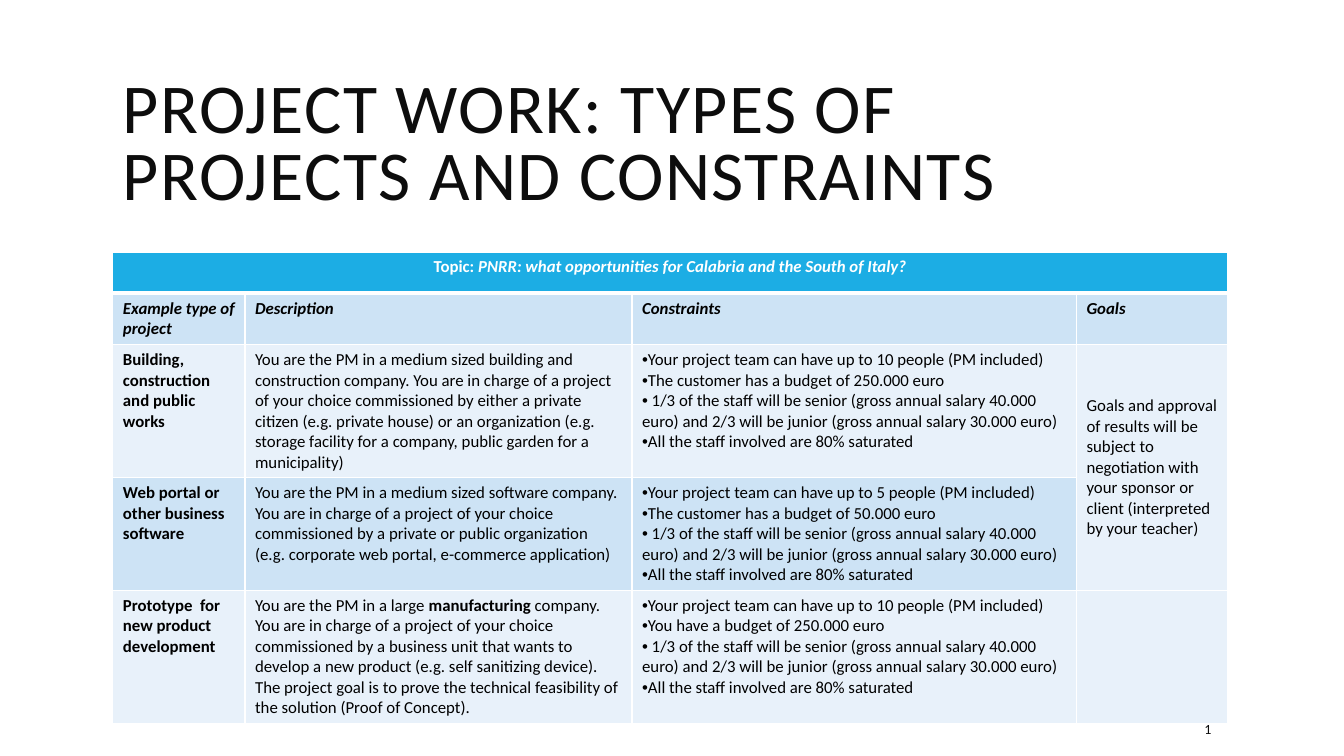
import dataclasses
import typing

import pptx
import pptx.dml.color
import pptx.enum.text
import pptx.oxml
import pptx.oxml.ns
import pptx.util
from lxml import etree

WIDTH = pptx.util.Inches(13.33)
HEIGHT = pptx.util.Inches(7.5)
FONT = "Calibri"
WHITE, BLACK, INK = "FFFFFF", "000000", "0D0D0D"
BLUE, MID_BLUE, PALE_BLUE = "1CADE4", "CDE3F5", "E8F1FA"
COLUMN_SHARES = (9.83, 28.8, 33.07, 11.25)
ROW_SHARES = (5.47, 6.8, 17.6, 14.8, 17.6)
HEADINGS = ("Example type of project", "Description", "Constraints", "Goals")
TOPIC = "PNRR: what opportunities for Calabria and the South of Italy?"
GOALS = (
    "Goals and approval of results will be subject to negotiation "
    "with your sponsor or client (interpreted by your teacher)"
)


@dataclasses.dataclass(frozen=True)
class Span:
    text: str
    bold: bool = False
    italic: bool = False


@dataclasses.dataclass(frozen=True)
class Project:
    kind: str
    description: tuple[Span, ...]
    team: int
    budget: str
    shade: str

    def constraints(self) -> tuple[str, ...]:
        return (
            f"Your project team can have up to {self.team} people (PM included)",
            f"{self.budget} euro",
            " 1/3 of the staff will be senior (gross annual salary 40.000 euro) "
            "and 2/3 will be junior (gross annual salary 30.000 euro)",
            "All the staff involved are 80% saturated",
        )


PROJECTS = (
    Project(
        "Building, construction and public works",
        (Span(
            "You are the PM in a medium sized building and construction company. "
            "You are in charge of a project of your choice commissioned by either "
            "a private citizen (e.g. private house) or an organization (e.g. storage "
            "facility for a company, public garden for a municipality)"
        ),),
        10, "The customer has a budget of 250.000", PALE_BLUE,
    ),
    Project(
        "Web portal or other business software",
        (Span(
            "You are the PM in a medium sized software company. You are in charge "
            "of a project of your choice commissioned by a private or public "
            "organization (e.g. corporate web portal, e-commerce application)"
        ),),
        5, "The customer has a budget of 50.000", MID_BLUE,
    ),
    Project(
        "Prototype  for new product development",
        (
            Span("You are the PM in a large "),
            Span("manufacturing ", bold=True),
            Span(
                "company. You are in charge of a project of your choice commissioned "
                "by a business unit that wants to develop a new product (e.g. self "
                "sanitizing device). The project goal is to prove the technical "
                "feasibility of the solution (Proof of Concept)."
            ),
        ),
        10, "You have a budget of 250.000", PALE_BLUE,
    ),
)


def across(percent: float) -> int:
    return round(WIDTH * percent / 100)


def down(percent: float) -> int:
    return round(HEIGHT * percent / 100)


def colour(value: str) -> pptx.dml.color.RGBColor:
    return pptx.dml.color.RGBColor.from_string(value)


def set_font(font: typing.Any, size: float, value: str) -> None:
    font.name = FONT
    font.size = pptx.util.Pt(size)
    font.color.rgb = colour(value)


def add_bullet(paragraph: typing.Any) -> None:
    properties = paragraph._p.get_or_add_pPr()
    for tag, key, value in (("a:buFont", "typeface", "Arial"), ("a:buChar", "char", "•")):
        etree.SubElement(properties, pptx.oxml.ns.qn(tag)).set(key, value)


def add_border(cell: typing.Any, side: str, points: float) -> None:
    line = etree.SubElement(cell._tc.get_or_add_tcPr(), pptx.oxml.ns.qn(f"a:ln{side}"))
    line.set("w", str(pptx.util.Pt(points)))
    fill = etree.SubElement(line, pptx.oxml.ns.qn("a:solidFill"))
    etree.SubElement(fill, pptx.oxml.ns.qn("a:srgbClr")).set("val", WHITE)


def paint(cell: typing.Any, shade: str, top: float = 1, bottom: float = 1) -> None:
    for side, points in (("L", 1), ("R", 1), ("T", top), ("B", bottom)):
        add_border(cell, side, points)
    cell.fill.solid()
    cell.fill.fore_color.rgb = colour(shade)


def write(paragraph: typing.Any, spans: tuple[Span, ...], value: str = BLACK) -> None:
    set_font(paragraph.font, 12, value)
    paragraph.font.bold = all(span.bold for span in spans)
    paragraph.font.italic = all(span.italic for span in spans)
    for span in spans:
        run = paragraph.add_run()
        run.text = span.text
        if span.bold != paragraph.font.bold:
            run.font.bold = span.bold
        if span.italic != paragraph.font.italic:
            run.font.italic = span.italic


def add_title(slide: typing.Any) -> None:
    title = slide.shapes.title
    title.left, title.top = across(8.4), down(8.53)
    title.width, title.height = across(79.73), down(21.87)
    frame = title.text_frame
    frame.text = "PROJECT WORK: TYPES OF PROJECTS AND CONSTRAINTS"
    frame.word_wrap = True
    frame.auto_size = pptx.enum.text.MSO_AUTO_SIZE.NONE
    frame.vertical_anchor = pptx.enum.text.MSO_ANCHOR.MIDDLE
    heading = frame.paragraphs[0]
    heading.alignment = pptx.enum.text.PP_ALIGN.LEFT
    heading.line_spacing = 0.8
    set_font(heading.font, 50, INK)
    heading.runs[0].font._element.set("spc", "100")


def add_projects(slide: typing.Any) -> None:
    table = slide.shapes.add_table(
        len(ROW_SHARES), len(COLUMN_SHARES),
        across(8.4), down(33.33), across(sum(COLUMN_SHARES)), down(sum(ROW_SHARES)),
    ).table
    table.first_row = table.horz_banding = False
    for column, share in zip(table.columns, COLUMN_SHARES):
        column.width = across(share)
    for row, share in zip(table.rows, ROW_SHARES):
        row.height = down(share)

    for index, heading in enumerate(HEADINGS):
        paint(table.cell(0, index), BLUE, bottom=3)
        paint(table.cell(1, index), MID_BLUE, top=3)
        write(table.cell(1, index).text_frame.paragraphs[0], (Span(heading, True, True),))
    table.cell(0, 0).merge(table.cell(0, 3))
    topic = table.cell(0, 0).text_frame.paragraphs[0]
    topic.alignment = pptx.enum.text.PP_ALIGN.CENTER
    write(topic, (Span("Topic: ", True), Span(TOPIC, True, True)), WHITE)

    for row, project in enumerate(PROJECTS, start=2):
        kind, description, constraints, goals = (table.cell(row, c) for c in range(4))
        for cell in (kind, description, constraints):
            paint(cell, project.shade)
        paint(goals, PALE_BLUE)
        write(kind.text_frame.paragraphs[0], (Span(project.kind, True),))
        write(description.text_frame.paragraphs[0], project.description)
        for index, constraint in enumerate(project.constraints()):
            frame = constraints.text_frame
            paragraph = frame.add_paragraph() if index else frame.paragraphs[0]
            add_bullet(paragraph)
            write(paragraph, (Span(constraint),))

    shared_goals = table.cell(2, 3)
    shared_goals.merge(table.cell(3, 3))
    shared_goals.vertical_anchor = pptx.enum.text.MSO_ANCHOR.MIDDLE
    write(shared_goals.text_frame.paragraphs[0], (Span(GOALS),))


def add_page_number(slide: typing.Any) -> None:
    frame = slide.shapes.add_textbox(across(88.88), down(94.4), across(7.95), down(4)).text_frame
    frame.word_wrap = True
    frame.vertical_anchor = pptx.enum.text.MSO_ANCHOR.MIDDLE
    frame.text = "1"
    set_font(frame.paragraphs[0].font, 10, INK)


def main() -> None:
    deck = pptx.Presentation()
    deck.slide_width, deck.slide_height = WIDTH, HEIGHT
    slide = deck.slides.add_slide(deck.slide_layouts[5])
    add_title(slide)
    add_projects(slide)
    add_page_number(slide)
    deck.save("out.pptx")


if __name__ == "__main__":
    main()
